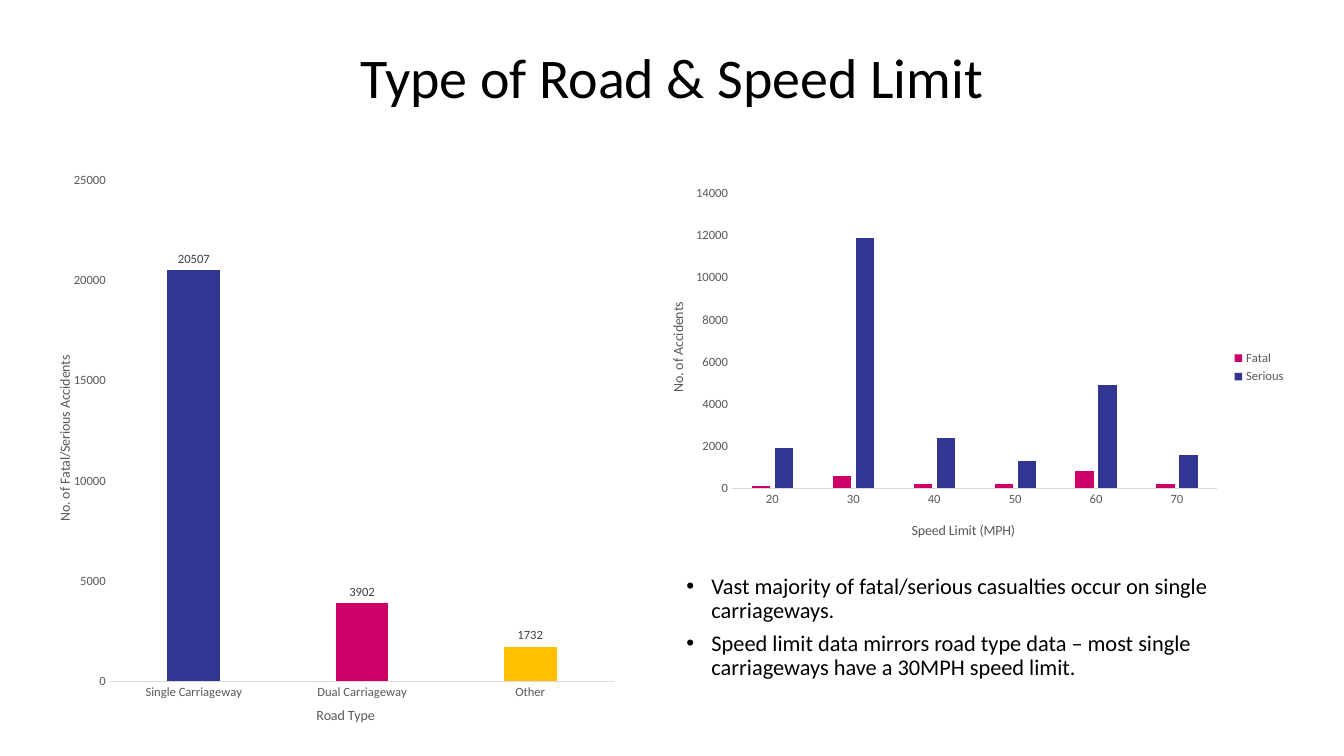
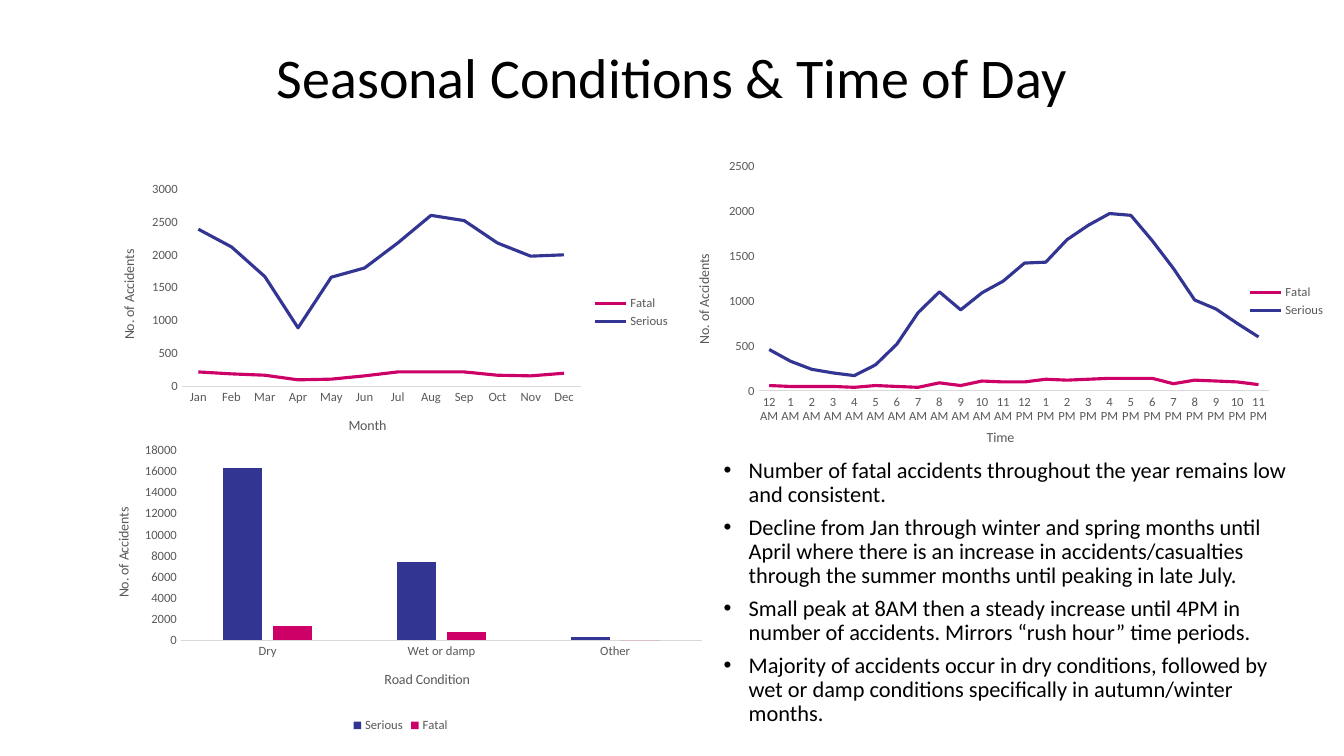
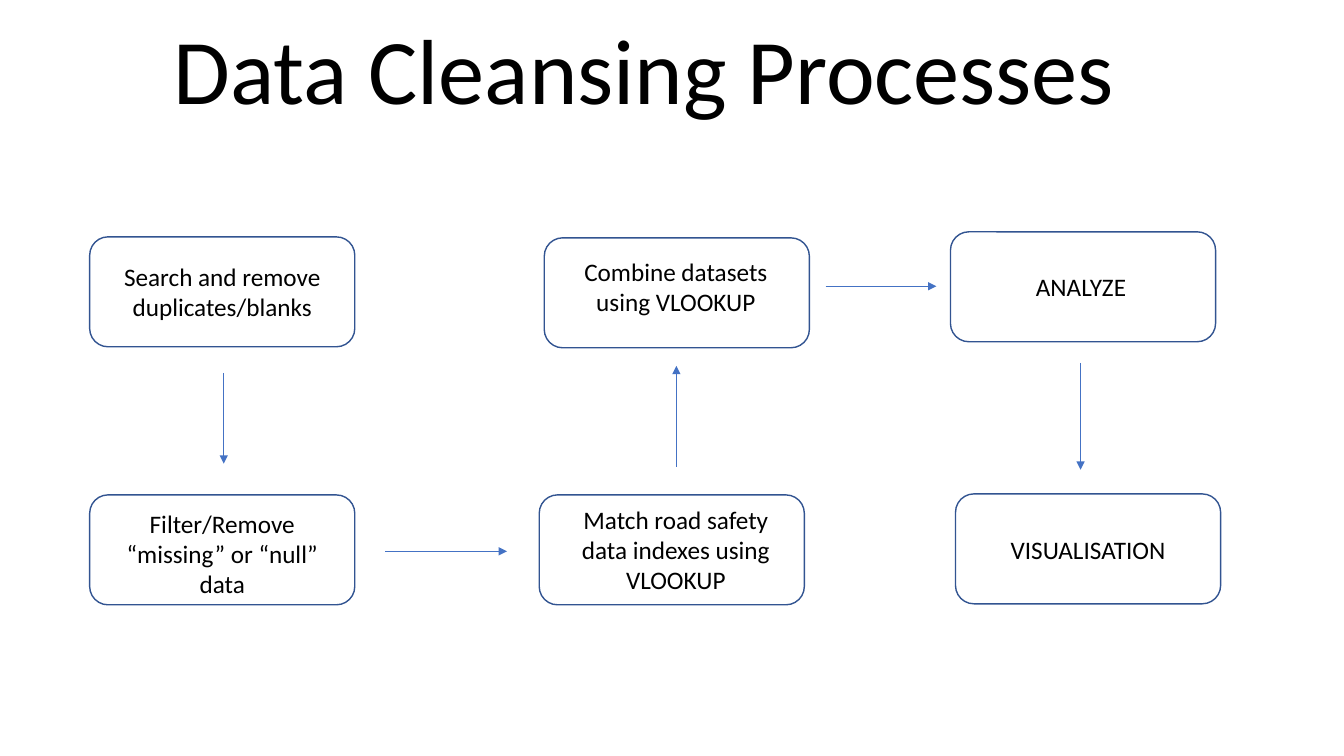
from lxml import etree
from pptx import Presentation
from pptx.chart.data import CategoryChartData
from pptx.dml.color import RGBColor
from pptx.enum.chart import XL_CHART_TYPE, XL_LABEL_POSITION, XL_LEGEND_POSITION, XL_TICK_MARK
from pptx.enum.shapes import MSO_CONNECTOR, MSO_SHAPE
from pptx.enum.text import MSO_ANCHOR, PP_ALIGN
from pptx.oxml.ns import qn
from pptx.util import Pt

PX = 9144
FONT = "Calibri"
COLORS = {"black": "000000", "gray": "595959", "dark": "404040", "rule": "D9D9D9",
          "navy": "333593", "pink": "CC0066", "gold": "FFC000",
          "edge": "325491", "arrow": "4472C4"}
TONES = {"Fatal": "pink", "Serious": "navy"}
BAR, LINE = XL_CHART_TYPE.COLUMN_CLUSTERED, XL_CHART_TYPE.LINE
RIGHT, BOTTOM = XL_LEGEND_POSITION.RIGHT, XL_LEGEND_POSITION.BOTTOM
OUTER = XL_LABEL_POSITION.OUTSIDE_END
NO_TICK = XL_TICK_MARK.NONE
STRAIGHT = MSO_CONNECTOR.STRAIGHT
ROUNDED = MSO_SHAPE.ROUNDED_RECTANGLE
TOP, MIDDLE = MSO_ANCHOR.TOP, MSO_ANCHOR.MIDDLE
LEFT, CENTER = PP_ALIGN.LEFT, PP_ALIGN.CENTER
ACCIDENTS = "No. of Accidents"


def scale(*nums):
    return [round(n * PX) for n in nums]


def rgb(name):
    return RGBColor.from_string(COLORS[name])


def style(font, size, color):
    font.name, font.size, font.bold = FONT, Pt(size), False
    font.color.rgb = rgb(color)


def write(frame, *lines, size=18, color="black", align=None, anchor=None,
          space=None, after=None, bullet=False):
    if anchor is not None:
        frame.word_wrap = True
        frame.vertical_anchor = anchor
    for i, line in enumerate(lines):
        para = frame.add_paragraph() if i else frame.paragraphs[0]
        if align is not None:
            para.alignment = align
        if space:
            para.line_spacing = space
        if after:
            para.space_after = Pt(after)
        run = para.add_run()
        run.text = line
        style(run.font, size, color)
        if bullet:
            props = para._p.get_or_add_pPr()
            props.set("marL", str(50 * PX))
            props.set("indent", str(-25 * PX))
            etree.SubElement(props, qn("a:buFont")).set("typeface", "Arial")
            etree.SubElement(props, qn("a:buChar")).set("char", "•")


def place(node, index, spot):
    old = node.find(qn("c:layout"))
    if old is not None:
        node.remove(old)
    layout = etree.Element(qn("c:layout"))
    node.insert(index, layout)
    manual = etree.SubElement(layout, qn("c:manualLayout"))
    keys = "xywh"[:len(spot)]
    pairs = [("layoutTarget", "inner")] if len(spot) == 4 else []
    pairs += [(key + "Mode", "edge") for key in "xy"]
    pairs += list(zip(keys, spot))
    for key, val in pairs:
        etree.SubElement(manual, qn("c:" + key)).set("val", str(val))


class Deck:
    """Hold the shared style and the slide being built."""

    def __init__(self):
        self.prs = Presentation()
        self.prs.slide_width, self.prs.slide_height = scale(1333.33, 750)
        self.slide = None

    def start(self, title, box=(110, 19, 1113, 122), size=40, align=CENTER, anchor=MIDDLE):
        self.slide = self.prs.slides.add_slide(self.prs.slide_layouts[5])
        shape = self.slide.shapes.title
        shape.left, shape.top, shape.width, shape.height = scale(*box)
        write(shape.text_frame, title, size=size, align=align, anchor=anchor, space=0.9)

    def list(self, box, *lines):
        frame = self.slide.shapes.add_textbox(*scale(*box)).text_frame
        write(frame, *lines, size=16, anchor=MIDDLE, space=0.9, after=6, bullet=True)

    def axis(self, axis, name, spot, turn=0):
        axis.has_major_gridlines = False
        axis.major_tick_mark = axis.minor_tick_mark = NO_TICK
        style(axis.tick_labels.font, 9, "gray")
        frame = axis.axis_title.text_frame
        write(frame, name, size=10, color="gray")
        frame._txBody.bodyPr.set("rot", str(turn))
        place(axis.axis_title._element, 1, spot)

    def chart(self, kind, box, cats, series, names, spots, area, top, step, legend=None):
        data = CategoryChartData()
        data.categories = cats
        for name, vals in series.items():
            data.add_series(name, vals)
        chart = self.slide.shapes.add_chart(kind, *scale(*box), data).chart
        chart.has_title = False
        style(chart.font, 10, "black")
        cat, val = chart.category_axis, chart.value_axis
        self.axis(cat, names[0], spots[0])
        self.axis(val, names[1], spots[1], -5400000)
        cat.format.line.color.rgb = rgb("rule")
        cat.format.line.width = Pt(0.75)
        val.format.line.fill.background()
        val.minimum_scale, val.maximum_scale, val.major_unit = 0, top, step
        place(chart._chartSpace.chart.plotArea, 0, area)
        chart.has_legend = legend is not None
        if legend is not None:
            chart.legend.position = legend
            chart.legend.include_in_layout = False
            style(chart.legend.font, 9, "gray")
        plot = chart.plots[0]
        plot.vary_by_categories = False
        if kind == BAR:
            plot.gap_width, plot.overlap = 219, -27
        for ser in plot.series:
            tone = rgb(TONES.get(ser.name, "arrow"))
            if kind == LINE:
                ser.smooth = False
                ser.format.line.color.rgb = tone
                ser.format.line.width = Pt(2.25)
            else:
                ser.format.fill.solid()
                ser.format.fill.fore_color.rgb = tone
        return plot

    def paint(self, plot, *tones):
        for i, tone in enumerate(tones):
            fill = plot.series[0].points[i].format.fill
            fill.solid()
            fill.fore_color.rgb = rgb(tone)
        plot.has_data_labels = True
        labels = plot.data_labels
        labels.show_value, labels.position = True, OUTER
        style(labels.font, 9, "dark")

    def node(self, left, top, text, box):
        group = self.slide.shapes.add_group_shape().shapes
        shape = group.add_shape(ROUNDED, *scale(left, top, 263, 109))
        shape.shadow.inherit = False
        shape.fill.background()
        shape.line.color.rgb = rgb("edge")
        shape.line.width = Pt(1)
        label = group.add_textbox(*scale(*box))
        write(label.text_frame, text, align=CENTER, anchor=TOP)

    def arrow(self, *ends):
        line = self.slide.shapes.add_connector(STRAIGHT, *scale(*ends))
        line.line.color.rgb = rgb("arrow")
        line.line.width = Pt(0.5)
        etree.SubElement(line.line._get_or_add_ln(), qn("a:tailEnd")).set("type", "triangle")
        etree.SubElement(line._element.spPr, qn("a:effectLst"))


def roads(deck):
    deck.start("Type of Road & Speed Limit")
    deck.list((646, 552, 651, 142),
              "Vast majority of fatal/serious casualties occur on single carriageways.",
              "Speed limit data mirrors road type data – most single carriageways "
              "have a 30MPH speed limit.")
    plot = deck.chart(
        BAR, (47, 168, 563, 554), ["Single Carriageway", "Dual Carriageway", "Other"],
        {"Series 1": [20507, 3902, 1732]},
        ("Road Type", "No. of Fatal/Serious Accidents"), ((0.47, 0.96), (0.01, 0.33)),
        (0.11, 0.02, 0.89, 0.9), 25000, 5000)
    deck.paint(plot, "navy", "pink", "gold")
    deck.chart(
        BAR, (635, 177, 651, 375), ["20", "30", "40", "50", "60", "70"],
        {"Fatal": [100, 600, 200, 200, 800, 200],
         "Serious": [1900, 11900, 2400, 1300, 4900, 1600]},
        ("Speed Limit (MPH)", ACCIDENTS), ((0.41, 0.9), (0.04, 0.32)),
        (0.14, 0.04, 0.74, 0.78), 14000, 2000, RIGHT)


def seasons(deck):
    deck.start("Seasonal Conditions & Time of Day")
    deck.list((683, 462, 623, 252),
              "Number of fatal accidents throughout the year remains low and consistent.",
              "Decline from Jan through winter and spring months until April where there is "
              "an increase in accidents/casualties through the summer months until peaking "
              "in late July.",
              "Small peak at 8AM then a steady increase until 4PM in number of accidents. "
              "Mirrors “rush hour” time periods.",
              "Majority of accidents occur in dry conditions, followed by wet or damp "
              "conditions specifically in autumn/winter months.")
    deck.chart(
        BAR, (86, 432, 623, 299), ["Dry", "Wet or damp", "Other"],
        {"Serious": [16300, 7400, 300], "Fatal": [1400, 800, 0]},
        ("Road Condition", ACCIDENTS), ((0.47, 0.77), (0.04, 0.23)),
        (0.15, 0.05, 0.83, 0.63), 18000, 2000, BOTTOM)
    deck.chart(
        LINE, (93, 174, 582, 272),
        "Jan Feb Mar Apr May Jun Jul Aug Sep Oct Nov Dec".split(),
        {"Fatal": [220, 190, 170, 100, 110, 160, 220, 220, 220, 170, 160, 200],
         "Serious": [2390, 2120, 1670, 890, 1660, 1800, 2180, 2600, 2520, 2180, 1980, 2000]},
        ("Month", ACCIDENTS), ((0.43, 0.87), (0.04, 0.26)),
        (0.15, 0.05, 0.68, 0.72), 3000, 500, RIGHT)
    hours = [f"{h or 12} {half}" for half in ("AM", "PM") for h in range(12)]
    deck.chart(
        LINE, (667, 156, 658, 290), hours,
        {"Fatal": [60, 50, 50, 50, 40, 60, 50, 40, 90, 60, 110, 100,
                   100, 130, 120, 130, 140, 140, 140, 80, 120, 110, 100, 70],
         "Serious": [460, 330, 240, 200, 170, 290, 520, 870, 1100, 900, 1090, 1220,
                     1420, 1430, 1680, 1840, 1970, 1950, 1670, 1360, 1010, 910, 750, 600]},
        ("Time", ACCIDENTS), ((0.47, 0.93), (0.03, 0.33)),
        (0.13, 0.03, 0.77, 0.78), 2500, 500, RIGHT)


def cleansing(deck):
    deck.start("Data Cleansing Processes", (162, 19, 1150, 609), 66, LEFT, TOP)
    for node in (
            (89, 235, "Search and remove duplicates/blanks", (106, 254, 229, 71)),
            (89, 491, "Filter/Remove “missing” or “null” data", (97, 499, 247, 101)),
            (535, 491, "Match road safety data indexes using VLOOKUP", (559, 495, 223, 101)),
            (540, 236, "Combine datasets using VLOOKUP", (556, 249, 229, 71)),
            (943, 230, "ANALYZE", (961, 264, 223, 40)),
            (948, 490, "VISUALISATION", (968, 525, 223, 40))):
        deck.node(*node)
    for ends in ((222, 370, 222, 460), (382, 547, 503, 547), (671, 463, 671, 363),
                 (819, 284, 929, 284), (1072, 360, 1072, 466)):
        deck.arrow(*ends)


def main():
    deck = Deck()
    for build in (roads, seasons, cleansing):
        build(deck)
    deck.prs.save("out.pptx")


if __name__ == "__main__":
    main()
